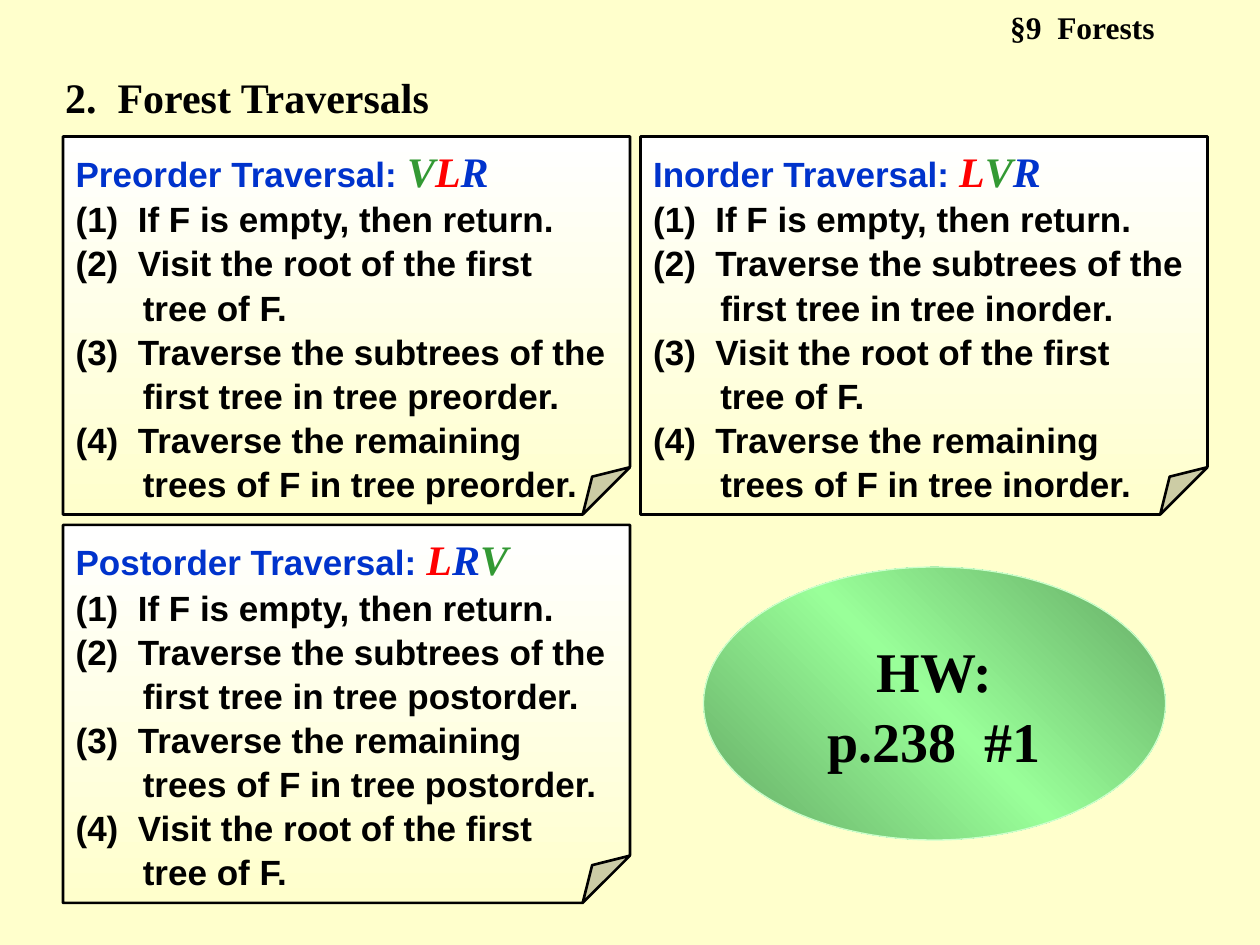
"""Build the forest traversals slide with three folded cards and a homework ellipse."""
from lxml.etree import SubElement
from pptx import Presentation
from pptx.dml.color import RGBColor
from pptx.enum.shapes import MSO_SHAPE
from pptx.enum.text import MSO_ANCHOR, MSO_AUTO_SIZE, PP_ALIGN
from pptx.oxml.ns import qn
from pptx.util import Pt

SECTION = "§9  Forests"
HEADING = "2.  Forest Traversals"
HOMEWORK = ["HW:", "p.238  #1"]
TRAVERSALS = [
    ("Preorder Traversal: ", "VLR", [
        "(1)  If F is empty, then return.",
        "(2)  Visit the root of the first tree of F.",
        "(3)  Traverse the subtrees of the first tree in tree preorder.",
        "(4)  Traverse the remaining trees of F in tree preorder.",
    ]),
    ("Inorder Traversal: ", "LVR", [
        "(1)  If F is empty, then return.",
        "(2)  Traverse the subtrees of the first tree in tree inorder.",
        "(3)  Visit the root of the first tree of F.",
        "(4)  Traverse the remaining trees of F in tree inorder.",
    ]),
    ("Postorder Traversal: ", "LRV", [
        "(1)  If F is empty, then return.",
        "(2)  Traverse the subtrees of the first tree in tree postorder.",
        "(3)  Traverse the remaining trees of F in tree postorder.",
        "(4)  Visit the root of the first tree of F.",
    ]),
]

THEME = {
    "background": "FFFFCC",
    "ink": "000000",
    "title": "0033CC",
    "letters": {"V": "339933", "L": "FF0000", "R": "0033CC"},
    "card": [(0, "FFFFFF"), (100, "FFFFCC")],
    "ellipse": [(0, "64A764"), (50, "99FF99"), (100, "64A764")],
    "ellipse_line": "CCFFCC",
    "serif": "Times New Roman",
    "sans": "Arial",
    "section": 18, "heading": 24, "letter": 24, "step": 20, "homework": 32,
}
PX = 7620
SLIDE = (1200, 900)
CARD = (540, 360)
CARD_ORIGIN = (60, 130)
CARD_GAP = 10
FOLD = 12500
STEP_WIDTH = 530
HANGING = 64
FRAME = {"margin_left": 12 * PX, "margin_right": 12 * PX,
         "margin_top": 6 * PX, "margin_bottom": 6 * PX,
         "auto_size": MSO_AUTO_SIZE.NONE, "word_wrap": True,
         "vertical_anchor": MSO_ANCHOR.TOP}
PARAGRAPH = {"alignment": PP_ALIGN.LEFT, "line_spacing": 1.05,
             "space_before": Pt(0), "space_after": Pt(0)}


def apply(target, values):
    """Set every named attribute on the target."""
    for name, value in values.items():
        setattr(target, name, value)


def place(part, left, top, width, height):
    """Move and size a part in px."""
    apply(part, {"left": left * PX, "top": top * PX,
                 "width": width * PX, "height": height * PX})


def write(part, paragraphs, hanging=0, frame=None, **layout):
    """Fill a part with paragraphs of (words, font, size, colour, italic) runs."""
    text = part.text_frame
    apply(text, FRAME | (frame or {}))
    for index, pieces in enumerate(paragraphs):
        paragraph = text.add_paragraph() if index else text.paragraphs[0]
        apply(paragraph, PARAGRAPH | layout)
        properties = paragraph._p.get_or_add_pPr()
        properties.set("marL", str(hanging * PX))
        properties.set("indent", str(-hanging * PX))
        SubElement(properties, qn("a:buNone"))
        for words, face, size, colour, italic in pieces:
            run = paragraph.add_run()
            run.text = words
            apply(run.font, {"name": face, "size": Pt(size), "bold": True, "italic": italic})
            run.font.color.rgb = RGBColor.from_string(colour)


def add_gradient_shape(slide, kind, box, stops, angle, line, weight):
    """Add a preset shape with a linear gradient and an outline."""
    shape = slide.shapes.add_shape(kind, *(length * PX for length in box))
    shape.shadow.inherit = False
    shape.fill.gradient()
    gradient = shape._element.spPr.find(qn("a:gradFill"))
    stop_list = gradient.find(qn("a:gsLst"))
    for stop in list(stop_list):
        stop_list.remove(stop)
    for position, colour in stops:
        stop = SubElement(stop_list, qn("a:gs"), pos=str(position * 1000))
        SubElement(stop, qn("a:srgbClr"), val=colour)
    gradient.find(qn("a:lin")).set("ang", str(angle * 60000))
    shape.line.color.rgb = RGBColor.from_string(line)
    shape.line.width = Pt(weight)
    return shape


def add_traversal(slide, steps_body, index, traversal):
    """Add a folded card and lay its list over it."""
    title, order, steps = traversal
    row, column = divmod(index, 2)
    left = CARD_ORIGIN[0] + column * (CARD[0] + CARD_GAP)
    top = CARD_ORIGIN[1] + row * (CARD[1] + CARD_GAP)
    card = add_gradient_shape(slide, MSO_SHAPE.FOLDED_CORNER, (left, top, *CARD),
                              THEME["card"], 90, THEME["ink"], 1.5)
    guides = card._element.spPr.find(qn("a:prstGeom")).get_or_add_avLst()
    SubElement(guides, qn("a:gd"), name="adj", fmla=f"val {FOLD}")
    card._element.addnext(steps_body._element)
    place(steps_body, left, top, STEP_WIDTH, CARD[1])
    heading = [(title, THEME["sans"], THEME["step"], THEME["title"], False)]
    heading += [(letter, THEME["serif"], THEME["letter"], THEME["letters"][letter], True)
                for letter in order]
    lines = [[(step, THEME["sans"], THEME["step"], THEME["ink"], False)] for step in steps]
    write(steps_body, [heading, *lines], HANGING)


def serif_line(words, role):
    """Return one paragraph in the serif face."""
    return [(words, THEME["serif"], THEME[role], THEME["ink"], False)]


def main():
    """Build and save the slide."""
    deck = Presentation()
    deck.slide_width, deck.slide_height = (length * PX for length in SLIDE)
    slide = deck.slides.add_slide(deck.slide_layouts.get_by_name("Comparison"))
    slide.background.fill.solid()
    slide.background.fill.fore_color.rgb = RGBColor.from_string(THEME["background"])
    heading, section, *step_bodies = slide.placeholders

    place(section, 950, 0, 250, 48)
    write(section, [serif_line(SECTION, "section")])
    place(heading, 50, 60, 510, 60)
    write(heading, [serif_line(HEADING, "heading")])
    for index, (steps_body, traversal) in enumerate(zip(step_bodies, TRAVERSALS)):
        add_traversal(slide, steps_body, index, traversal)

    homework = add_gradient_shape(slide, MSO_SHAPE.OVAL, (670, 540, 440, 260),
                                  THEME["ellipse"], 135, THEME["ellipse_line"], 0.75)
    write(homework, [serif_line(words, "homework") for words in HOMEWORK],
          frame={"word_wrap": False, "vertical_anchor": MSO_ANCHOR.MIDDLE},
          alignment=PP_ALIGN.CENTER)
    deck.save("out.pptx")


if __name__ == "__main__":
    main()
